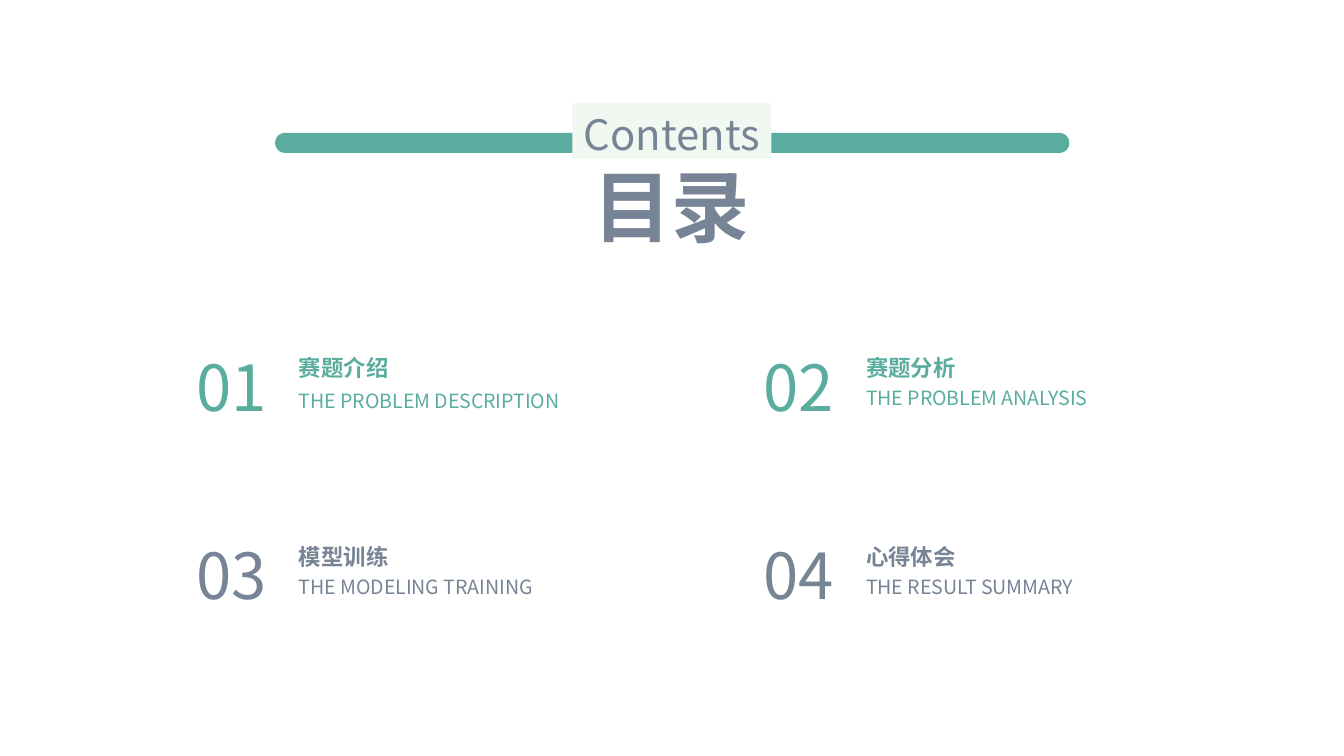
from lxml import etree
from pptx import Presentation
from pptx.dml.color import RGBColor
from pptx.enum import shapes, text
from pptx.oxml import ns
from pptx.util import Cm, Pt

FONT = "Noto Sans CJK SC"
GREEN, SLATE, PALE = "5AAD9E", "778495", "F1F8F1"
CENTER, LEFT = text.PP_ALIGN.CENTER, text.PP_ALIGN.LEFT
TOP, MIDDLE, BOTTOM = text.MSO_ANCHOR.TOP, text.MSO_ANCHOR.MIDDLE, text.MSO_ANCHOR.BOTTOM


def paint(fill, color):
    fill.solid()
    fill.fore_color.rgb = RGBColor.from_string(color)


def write(shape, words, size, color, align, bold=False, spacing=1.0, **frame_format):
    frame = shape.text_frame
    frame_format = {"word_wrap": True, "auto_size": text.MSO_AUTO_SIZE.NONE, **frame_format}
    for key, value in frame_format.items():
        setattr(frame, key, value)
    paragraph = frame.paragraphs[0]
    paragraph.alignment, paragraph.line_spacing = align, spacing
    run = paragraph.add_run()
    run.text = words
    for key, value in {"name": FONT, "size": Pt(size), "bold": bold}.items():
        setattr(run.font, key, value)
    paint(run.font.fill, color)
    # East Asian glyphs take their own typeface
    etree.SubElement(run.font._element, ns.qn("a:ea"), typeface=FONT)


deck = Presentation()
deck.slide_width, deck.slide_height = Cm(25.4), Cm(14.28)
slide = deck.slides.add_slide(deck.slide_layouts[5])
paint(slide.background.fill, "FFFFFF")

# Title
title = slide.shapes.title
place = {"left": 10.82, "top": 2.87, "width": 3.76, "height": 1.93}
for key, value in place.items():
    setattr(title, key, Cm(value))
write(title, "目录", 41.9, SLATE, CENTER, bold=True, vertical_anchor=TOP)

# Rounded bar with the label on top of it
bar = slide.shapes.add_shape(shapes.MSO_SHAPE.ROUNDED_RECTANGLE,
                             Cm(5.2), Cm(2.51), Cm(15.01), Cm(0.38))
bar.adjustments[0] = 0.5
label = slide.shapes.add_shape(shapes.MSO_SHAPE.RECTANGLE,
                               Cm(10.82), Cm(1.95), Cm(3.76), Cm(1.06))
for shape, color in ((bar, GREEN), (label, PALE)):
    shape.shadow.inherit = False
    paint(shape.fill, color)
    shape.line.fill.background()
no_inset = {"margin_left": 0, "margin_right": 0, "margin_top": 0, "margin_bottom": 0}
write(label, "Contents", 22.4, SLATE, CENTER, vertical_anchor=BOTTOM, **no_inset)

# Four chapters in a two by two grid, one colour per row
chapters = [
    ("赛题介绍", "THE PROBLEM DESCRIPTION", 1.2),
    ("赛题分析", "THE PROBLEM ANALYSIS", 1.0),
    ("模型训练", "THE MODELING TRAINING", 1.0),
    ("心得体会", "THE RESULT SUMMARY", 1.0),
]
indented = {**no_inset, "margin_left": Cm(1)}
for index, (chinese, english, spacing) in enumerate(chapters):
    row, column = divmod(index, 2)
    x, y = 4.65 + column * 10.72, 6.55 + row * 3.56
    color = (GREEN, SLATE)[row]
    number = slide.shapes.add_textbox(Cm(x - 1.02), Cm(y), Cm(1.5), Cm(1.47))
    write(number, f"{index + 1:02}", 34, color, CENTER,
          vertical_anchor=MIDDLE, word_wrap=False)
    name = slide.shapes.add_textbox(Cm(x), Cm(y + 0.14), Cm(8.26), Cm(0.51))
    write(name, chinese, 12, color, LEFT, bold=True, vertical_anchor=BOTTOM, **indented)
    translation = slide.shapes.add_textbox(Cm(x), Cm(y + 0.64), Cm(8.26), Cm(0.66))
    write(translation, english, 10.5, color, LEFT, spacing=spacing,
          vertical_anchor=MIDDLE, **indented)

deck.save("out.pptx")
